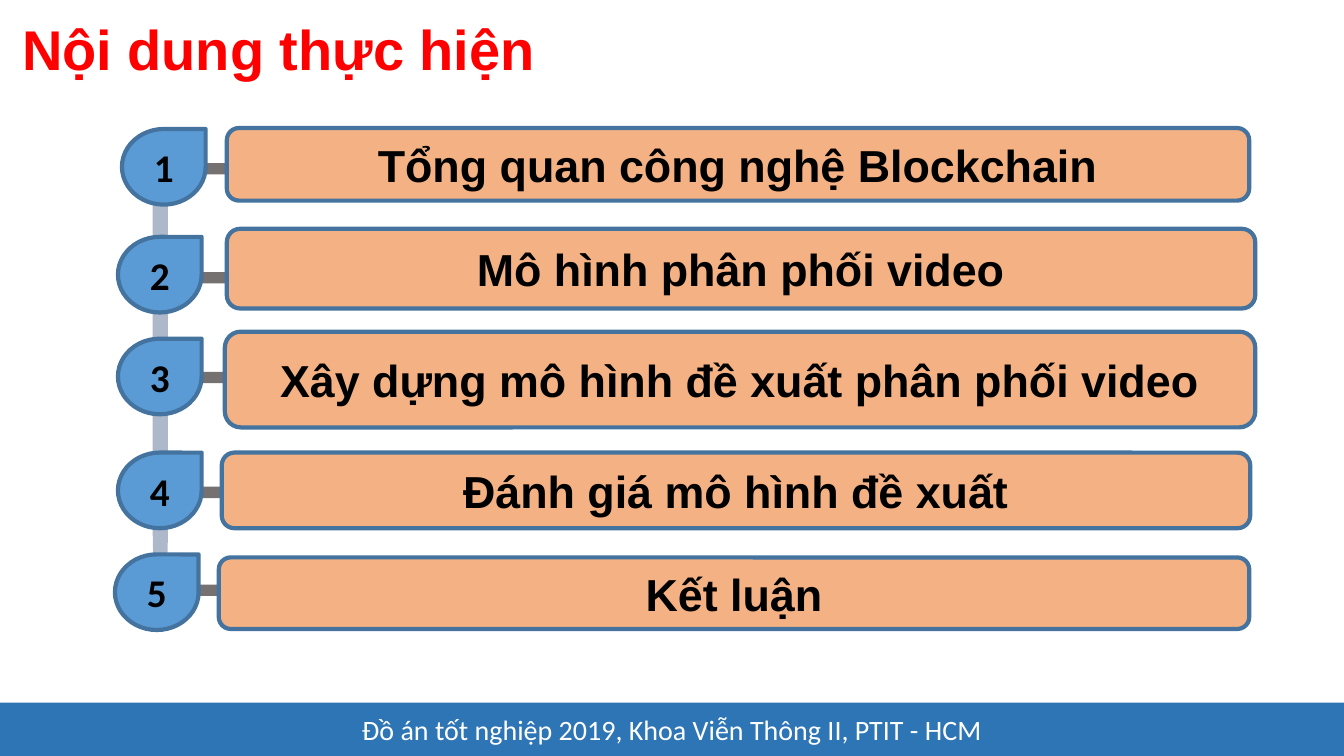
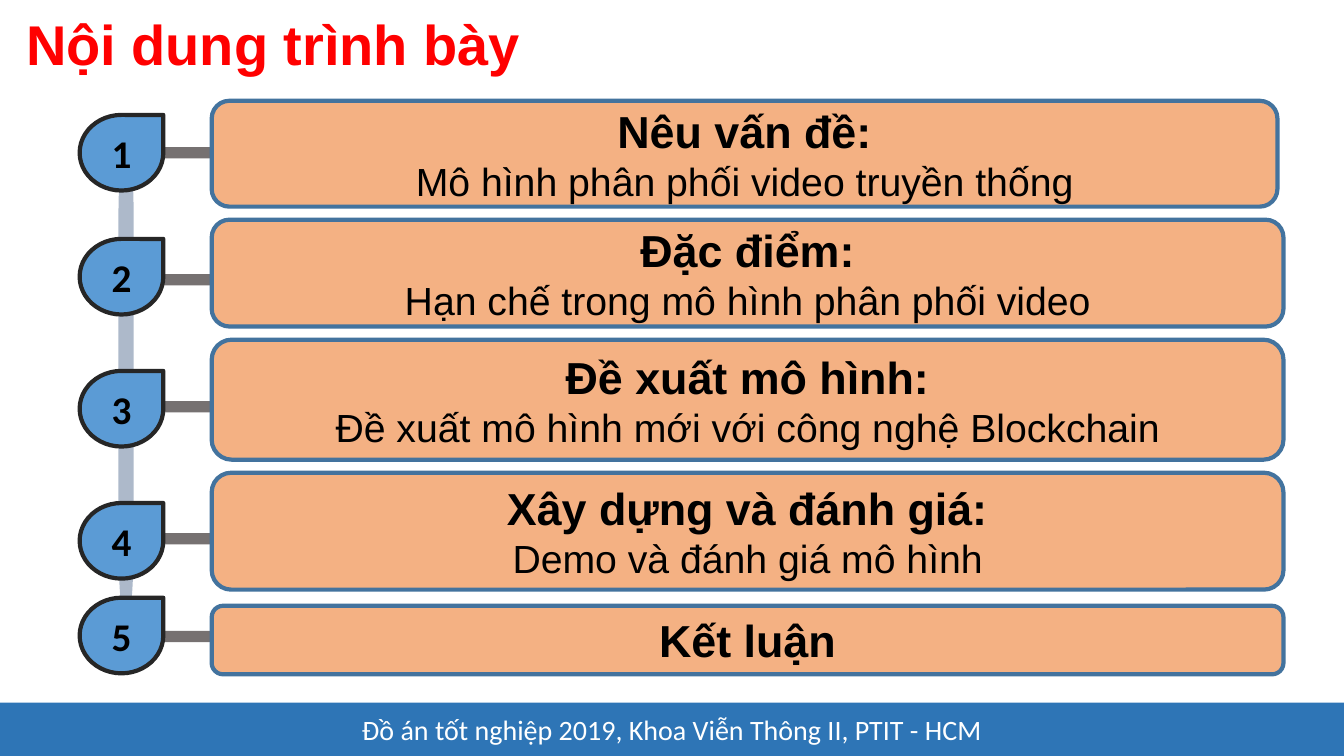
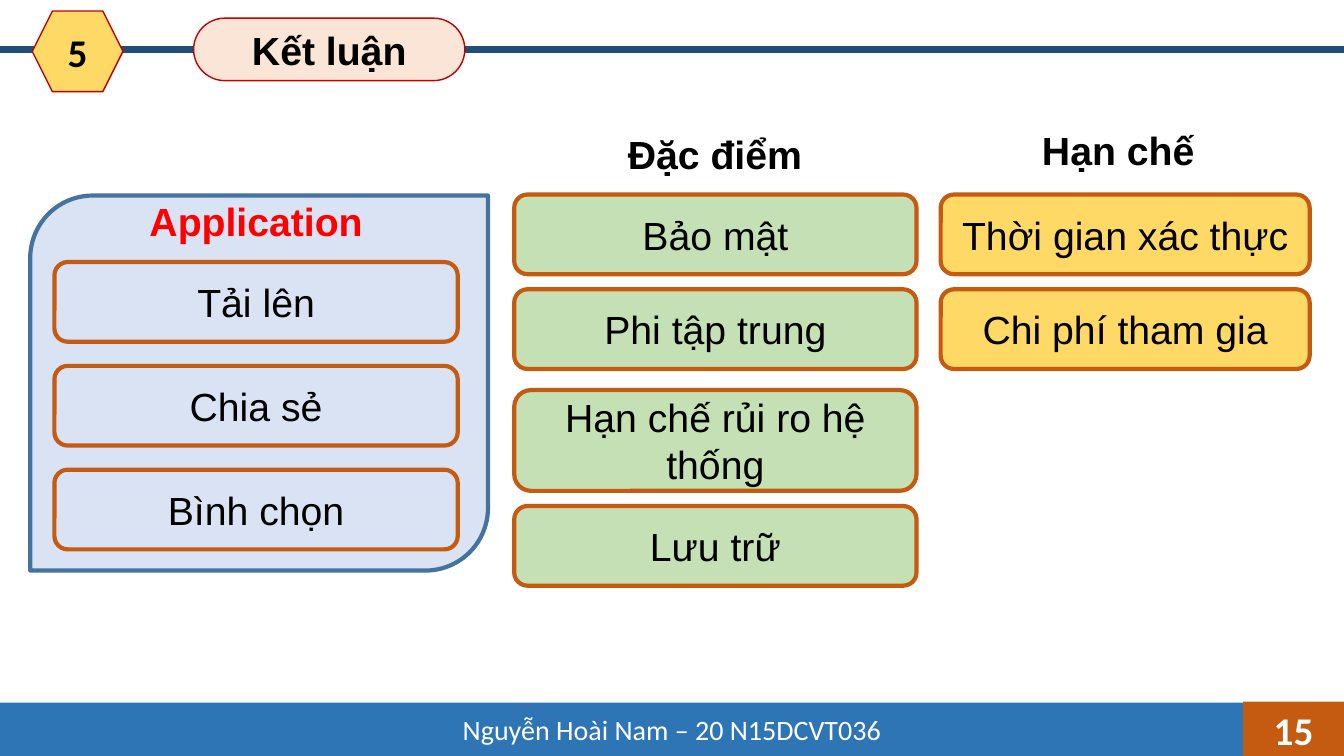
from lxml import etree
from pptx import Presentation
from pptx.dml.color import RGBColor
from pptx.enum.shapes import MSO_CONNECTOR, MSO_SHAPE
from pptx.enum.text import MSO_ANCHOR, PP_ALIGN
from pptx.oxml.ns import qn
from pptx.util import Inches, Pt

RECT = MSO_SHAPE.RECTANGLE
ROUNDED = MSO_SHAPE.ROUNDED_RECTANGLE
DIAGONAL = MSO_SHAPE.ROUND_2_DIAG_RECTANGLE
TEAR = MSO_SHAPE.TEAR
HEXAGON = MSO_SHAPE.HEXAGON
TERMINATOR = MSO_SHAPE.FLOWCHART_TERMINATOR
STRAIGHT = MSO_CONNECTOR.STRAIGHT
MIDDLE = MSO_ANCHOR.MIDDLE
LEFT, CENTER = PP_ALIGN.LEFT, PP_ALIGN.CENTER

BLACK = RGBColor(0x00, 0x00, 0x00)
WHITE = RGBColor(0xFF, 0xFF, 0xFF)
RED = RGBColor(0xFF, 0x00, 0x00)
DARK_RED = RGBColor(0xC0, 0x00, 0x00)
CHARCOAL = RGBColor(0x26, 0x26, 0x26)
GRAY = RGBColor(0x76, 0x71, 0x71)
SPINE_GRAY = RGBColor(0xAD, 0xB9, 0xCA)
BLUE = RGBColor(0x5B, 0x9B, 0xD5)
EDGE_BLUE = RGBColor(0x43, 0x73, 0x9E)
FOOTER_BLUE = RGBColor(0x2E, 0x75, 0xB6)
NAVY = RGBColor(0x1F, 0x4E, 0x79)
PALE_BLUE = RGBColor(0xDA, 0xE3, 0xF3)
PEACH = RGBColor(0xF4, 0xB1, 0x83)
PALE_PEACH = RGBColor(0xFB, 0xE5, 0xD6)
ORANGE = RGBColor(0xC5, 0x5A, 0x11)
GREEN = RGBColor(0xC5, 0xE0, 0xB4)
YELLOW = RGBColor(0xFF, 0xD9, 0x66)

COLUMNS, ROWS = 13.33, 7.5  # grid of one-inch cells
HEADING, NUMBER, BODY = 32, 28, 28
TEAR_W, TEAR_H = 0.83, 0.75
LINK_W, LINK_H, LINK_OVERLAP = 0.87, 0.07, 0.25
SPINE_H = 0.11
BOX_H = 0.79


def draw(slide, preset, box, fill=None, line=None, weight=3):
    """Add a flat shape, or a text box when preset is None; box is in grid cells."""
    place = [Inches(cells) for cells in box]
    if preset is None:
        return slide.shapes.add_textbox(*place)
    shape = slide.shapes.add_shape(preset, *place)
    shape.shadow.inherit = False
    if fill is None:
        shape.fill.background()
    else:
        shape.fill.solid()
        shape.fill.fore_color.rgb = fill
    if line is None:
        shape.line.fill.background()
    else:
        shape.line.color.rgb = line
        shape.line.width = Pt(weight)
    return shape


def write(shape, *lines, font="Arial", color=BLACK, align=CENTER):
    """Fill a shape with paragraphs given as (text, size, bold)."""
    frame = shape.text_frame
    frame.word_wrap = True
    frame.vertical_anchor = MIDDLE
    for index, (text, size, bold) in enumerate(lines):
        paragraph = frame.add_paragraph() if index else frame.paragraphs[0]
        paragraph.text = text
        paragraph.alignment = align
        paragraph.font.name = font
        paragraph.font.size = Pt(size)
        paragraph.font.bold = bold
        paragraph.font.color.rgb = color


prs = Presentation()
prs.slide_width, prs.slide_height = Inches(COLUMNS), Inches(ROWS)
blank = prs.slide_layouts[6]

PROJECT = "Đồ án tốt nghiệp 2019, Khoa Viễn Thông II, PTIT - HCM"
AUTHOR = "Nguyễn Hoài Nam – 20 N15DCVT036"
for footer in (PROJECT, PROJECT, AUTHOR):
    band = draw(prs.slides.add_slide(blank), RECT, (0, 6.97, COLUMNS, 0.53), FOOTER_BLUE)
    write(band, (footer, 20, False), font="Calibri", color=WHITE)
plan, outline, conclusion = prs.slides

# Each agenda row: tear left and top, link top, bar box, heading, optional detail
agendas = [
    (plan, "Nội dung thực hiện", (0.12, 0.09), EDGE_BLUE, (1.59, 3.68, 4.46), [
        (1.21, 1.28, 1.64, (2.25, 1.27, 10.14, 0.72), "Tổng quan công nghệ Blockchain"),
        (1.17, 2.35, 2.72, (2.25, 2.27, 10.2, 0.79), "Mô hình phân phối video"),
        (1.17, 3.36, 3.71, (2.23, 3.29, 10.22, 0.95),
         "Xây dựng mô hình đề xuất phân phối video"),
        (1.17, 4.49, 4.85, (2.2, 4.49, 10.2, 0.75), "Đánh giá mô hình đề xuất"),
        (1.14, 5.5, 5.82, (2.17, 5.53, 10.22, 0.71), "Kết luận"),
    ]),
    (outline, "Nội dung trình bày", (0.16, 0.04), CHARCOAL, (1.25, 3.78, 4.65), [
        (0.79, 1.14, 1.48, (2.1, 1, 10.57, 1.05), "Nêu vấn đề:",
         "Mô hình phân phối video truyền thống"),
        (0.79, 2.37, 2.74, (2.1, 2.18, 10.63, 1.06), "Đặc điểm:",
         "Hạn chế trong mô hình phân phối video"),
        (0.79, 3.68, 4, (2.1, 3.37, 10.63, 1.19), "Đề xuất mô hình:",
         "Đề xuất mô hình mới với công nghệ Blockchain"),
        (0.79, 4.99, 5.31, (2.1, 4.69, 10.63, 1.16), "Xây dựng và đánh giá:",
         "Demo và đánh giá mô hình"),
        (0.79, 5.93, 6.28, (2.1, 6.01, 10.63, 0.68), "Kết luận"),
    ]),
]
for slide, title, corner, tear_edge, (spine_x, spine_y, length), rows in agendas:
    write(draw(slide, None, (*corner, 7.81, 0.77)), (title, 40, True), color=RED, align=LEFT)
    spine_box = (spine_x - length / 2, spine_y - SPINE_H / 2, length, SPINE_H)
    draw(slide, TERMINATOR, spine_box, SPINE_GRAY, SPINE_GRAY).rotation = 90
    for number, (left, top, link_top, bar_box, heading, *details) in enumerate(rows, 1):
        link_left = left + TEAR_W - LINK_OVERLAP
        draw(slide, TERMINATOR, (link_left, link_top, LINK_W, LINK_H), GRAY, GRAY)
        bar = draw(slide, ROUNDED, bar_box, PEACH, EDGE_BLUE)
        write(bar, (heading, HEADING, True), *((detail, BODY, False) for detail in details))
        tear = draw(slide, TEAR, (left, top, TEAR_W, TEAR_H), BLUE, tear_edge)
        write(tear, (str(number), NUMBER, True), font="Calibri")

# Conclusion: section header
page = draw(conclusion, RECT, (COLUMNS - 1, 6.96, 1, 0.56), ORANGE)
write(page, ("15", NUMBER, True), font="Calibri", color=WHITE)
rule = conclusion.shapes.add_connector(
    STRAIGHT, 0, Inches(0.49), prs.slide_width, Inches(0.49))
rule.line.color.rgb = NAVY
rule.line.width = Pt(5.5)
etree.SubElement(rule._element.spPr, qn("a:effectLst"))
section_number = draw(conclusion, HEXAGON, (0.32, 0.11, 0.9, 0.8), YELLOW, DARK_RED, 1)
write(section_number, ("5", NUMBER, True), font="Calibri")
section = draw(conclusion, ROUNDED, (1.92, 0.18, 2.69, 0.62), PALE_PEACH, DARK_RED, 1)
section.adjustments[0] = 0.5
write(section, ("Kết luận", BODY, True))

# Conclusion: three columns of boxes
draw(conclusion, DIAGONAL, (0.3, 1.94, 4.54, 3.72), PALE_BLUE, EDGE_BLUE)
groups = [
    ("Application", (0.54, 1.8, 4, BOX_H), RED, None, 0.54, 4, [
        ("Tải lên", 2.6, BOX_H), ("Chia sẻ", 3.63, BOX_H), ("Bình chọn", 4.66, BOX_H)]),
    ("Đặc điểm", (5.85, 1.13, 2.48, 0.8), BLACK, GREEN, 5.1, 3.99, [
        ("Bảo mật", 1.93, BOX_H), ("Phi tập trung", 2.87, BOX_H),
        ("Hạn chế rủi ro hệ thống", 3.87, 1), ("Lưu trữ", 5.02, BOX_H)]),
    ("Hạn chế", (9.85, 1.09, 2.48, 0.8), BLACK, YELLOW, 9.33, 3.66, [
        ("Thời gian xác thực", 1.93, BOX_H), ("Chi phí tham gia", 2.87, BOX_H)]),
]
for heading, heading_box, heading_color, fill, left, width, points in groups:
    write(draw(conclusion, None, heading_box), (heading, BODY, True), color=heading_color)
    for point, top, height in points:
        point_box = draw(conclusion, ROUNDED, (left, top, width, height), fill, ORANGE)
        write(point_box, (point, BODY, False))

prs.save("out.pptx")
